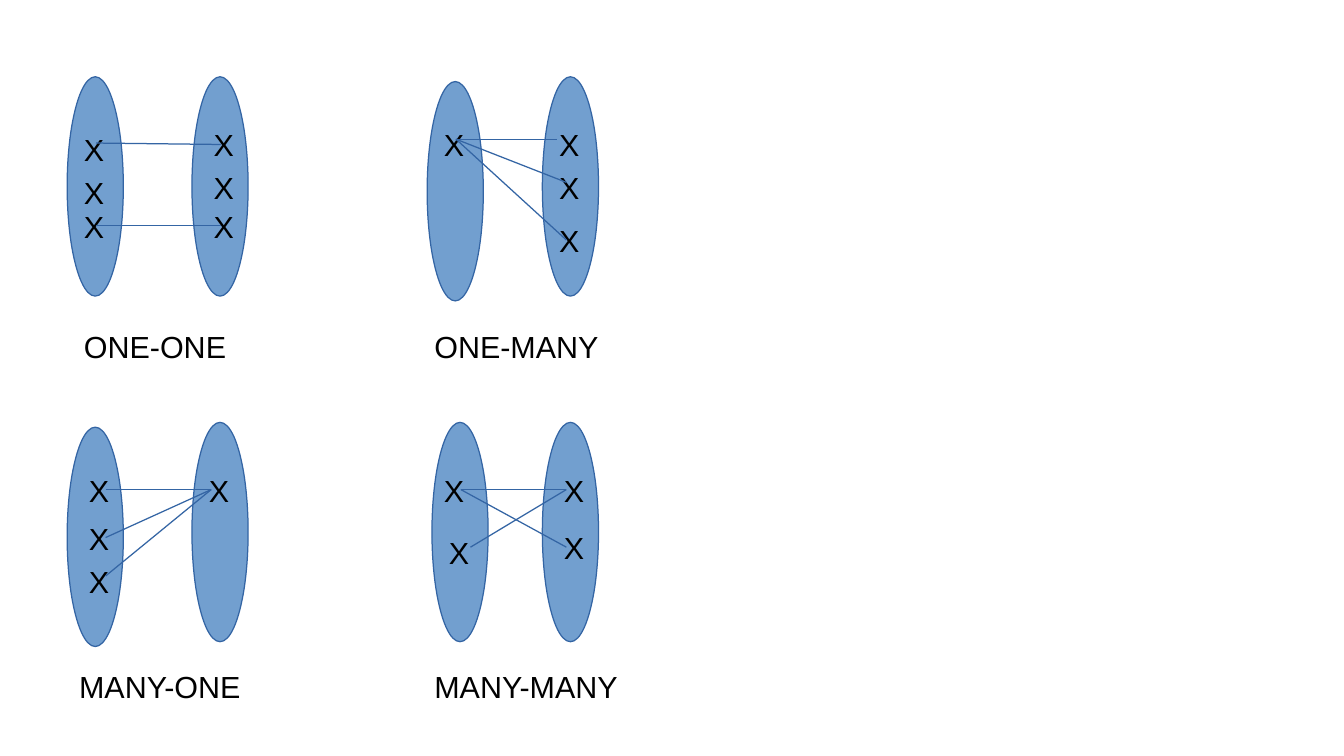
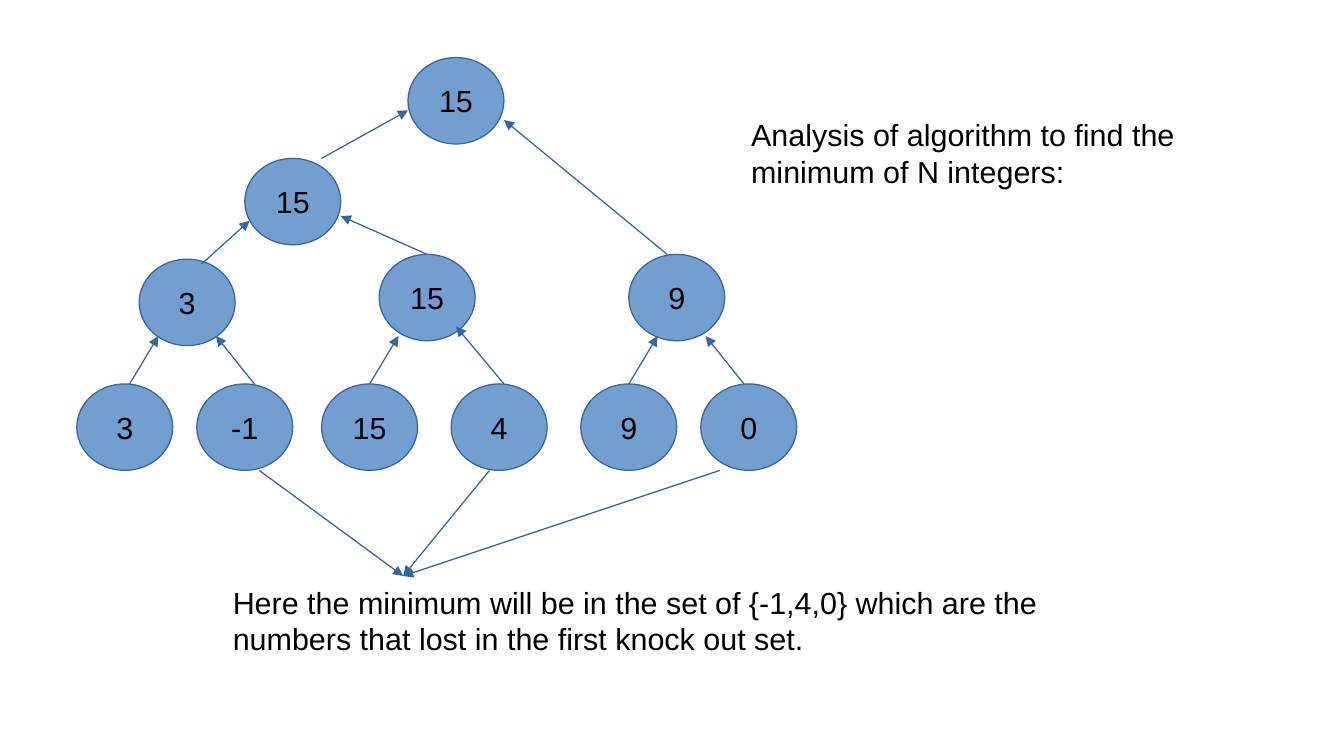
from dataclasses import dataclass

from lxml import etree
from pptx import Presentation
from pptx import util as u
from pptx.dml.color import RGBColor
from pptx.enum import shapes, text
from pptx.oxml.ns import qn

FILL = "729FCF"
OUTLINE = "3465A4"
INK = "000000"
FONT = "Arial"
SIZE = 18
LINE_WIDTH = 0.75

SET_SIZE = (1.17, 4.57)
MARK_SIZE = (1.37, 0.94)
NODE_SIZE = (2, 1.8)

Point = tuple[float, float]


@dataclass
class Label:
    words: str
    place: Point
    size: Point


@dataclass
class Mapping:
    label: Label
    sets: list[Point]
    marks: list[Point]
    links: list[tuple[Point, Point]]


@dataclass
class Node:
    value: str
    place: Point


MAPPINGS = [
    Mapping(
        Label("ONE-ONE", (1.5, 6.7), (3.58, 0.94)),
        [(1.4, 1.6), (4, 1.6)],
        [(1.5, 2.6), (1.5, 3.5), (1.5, 4.2), (4.2, 2.5), (4.2, 3.4), (4.2, 4.2)],
        [((2, 2.98), (4.6, 3.01)), ((2, 4.7), (4.6, 4.7))],
    ),
    Mapping(
        Label("ONE-MANY", (8.8, 6.7), (4, 1.07)),
        [(8.9, 1.7), (11.3, 1.6)],
        [(9, 2.5), (11.4, 2.5), (11.4, 3.4), (11.4, 4.5)],
        [((9.5, 2.9), end) for end in [(11.6, 2.9), (11.8, 3.8), (11.8, 5)]],
    ),
    Mapping(
        Label("MANY-ONE", (1.4, 13.8), (4, 0.97)),
        [(1.4, 8.9), (4, 8.8)],
        [(1.6, 9.7), (1.6, 10.7), (1.6, 11.6), (4.1, 9.7)],
        [((2.2, y), (4.4, 10.2)) for y in (10.2, 11.2, 12)],
    ),
    Mapping(
        Label("MANY-MANY", (8.8, 13.8), (4.4, 0.97)),
        [(9, 8.8), (11.3, 8.8)],
        [(9, 9.7), (9.1, 11), (11.5, 9.7), (11.5, 10.9)],
        [
            ((9.6, 10.2), (11.8, 10.2)),
            ((9.8, 11.4), (11.8, 10.2)),
            ((9.6, 10.2), (11.8, 11.4)),
        ],
    ),
]

LEAVES = zip(["3", "-1", "15", "4", "9", "0"], [1.6, 4.1, 6.7, 9.4, 12.1, 14.6])
NODES = [Node(value, (left, 8)) for value, left in LEAVES] + [
    Node("3", (2.9, 5.4)),
    Node("15", (7.9, 5.3)),
    Node("15", (5.1, 3.3)),
    Node("9", (13.1, 5.3)),
    Node("15", (8.5, 1.2)),
]

WINS = [
    ((2.7, 8), (3.3, 7)),
    ((5.3, 8), (4.5, 7)),
    ((7.7, 8), (8.3, 7)),
    ((10.5, 8), (9.5, 6.8)),
    ((13.1, 8), (13.7, 7)),
    ((15.5, 8), (14.7, 7)),
    ((4.2, 5.5), (5.2, 4.6)),
    ((8.9, 5.3), (7.1, 4.5)),
    ((6.7, 3.3), (8.5, 2.3)),
    ((13.9, 5.3), (10.5, 2.5)),
]
LOSSES = [((x, 9.8), (8.4, 12)) for x in (5.4, 10.2, 15)]

NOTES = [
    Label(
        "Analysis of algorithm to find the minimum of N integers:",
        (15.4, 2.3),
        (11.58, 1.2),
    ),
    Label(
        "Here the minimum will be in the set of {-1,4,0} which are the "
        "numbers that lost in the first knock out set.",
        (4.6, 12.04),
        (19.58, 2.95),
    ),
]


def colour(value: str) -> RGBColor:
    return RGBColor.from_string(value)


def lengths(*values: float) -> list[u.Cm]:
    return [u.Cm(value) for value in values]


def write(para, words: str) -> None:
    span = para.add_run()
    span.text = words
    span.font.name = FONT
    span.font.size = u.Pt(SIZE)
    span.font.color.rgb = colour(INK)


def stroke(line) -> None:
    line.color.rgb = colour(OUTLINE)
    line.width = u.Pt(LINE_WIDTH)


def add_label(page, label: Label) -> None:
    box = page.shapes.add_textbox(*lengths(*label.place, *label.size))
    box.text_frame.word_wrap = True
    write(box.text_frame.paragraphs[0], label.words)


def add_ellipse(page, place: Point, size: Point):
    ellipse = page.shapes.add_shape(
        shapes.MSO_SHAPE.OVAL, *lengths(*place, *size)
    )
    ellipse.shadow.inherit = False
    ellipse.fill.solid()
    ellipse.fill.fore_color.rgb = colour(FILL)
    stroke(ellipse.line)
    return ellipse


def add_node(page, node: Node) -> None:
    frame = add_ellipse(page, node.place, NODE_SIZE).text_frame
    frame.word_wrap = False
    frame.vertical_anchor = text.MSO_ANCHOR.MIDDLE
    para = frame.paragraphs[0]
    para.alignment = text.PP_ALIGN.CENTER
    write(para, node.value)


def add_link(page, start: Point, end: Point, arrow: bool = False) -> None:
    link = page.shapes.add_connector(
        shapes.MSO_CONNECTOR.STRAIGHT, *lengths(*start, *end)
    )
    stroke(link.line)
    if arrow:
        outline = link.line._get_or_add_ln()
        etree.SubElement(outline, qn("a:tailEnd"), type="triangle")
    etree.SubElement(link._element.spPr, qn("a:effectLst"))


def draw_mappings(page) -> None:
    for mapping in MAPPINGS:
        for place in mapping.sets:
            add_ellipse(page, place, SET_SIZE)
        for place in mapping.marks:
            add_label(page, Label("X", place, MARK_SIZE))
        for start, end in mapping.links:
            add_link(page, start, end)
        add_label(page, mapping.label)


def draw_knockout(page) -> None:
    for node in NODES:
        add_node(page, node)
    for start, end in WINS + LOSSES:
        add_link(page, start, end, arrow=True)
    for note in NOTES:
        add_label(page, note)


def main() -> None:
    deck = Presentation()
    deck.slide_width, deck.slide_height = lengths(28, 15.75)
    for draw in (draw_mappings, draw_knockout):
        draw(deck.slides.add_slide(deck.slide_layouts[6]))
    deck.save("out.pptx")


if __name__ == "__main__":
    main()
